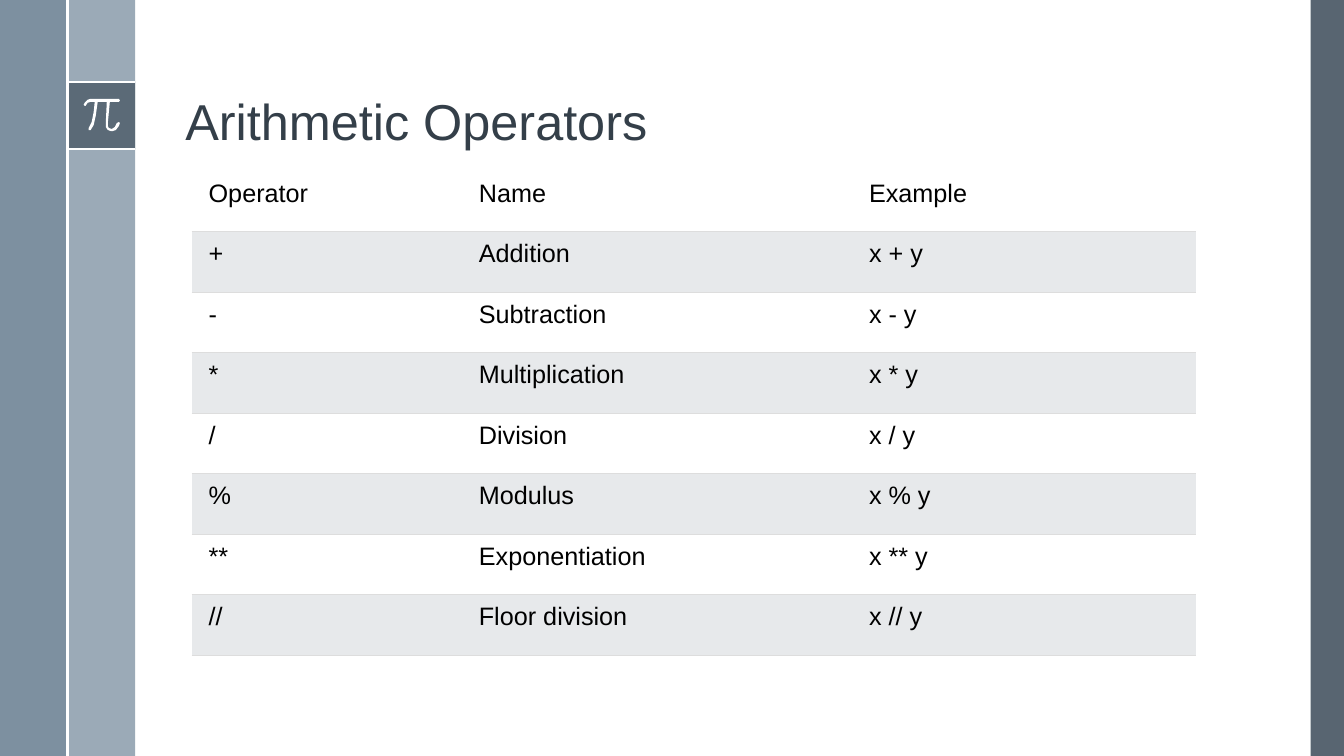
from lxml.etree import SubElement
from pptx import Presentation
from pptx.dml.color import RGBColor
from pptx.enum.shapes import MSO_CONNECTOR as Connector, MSO_SHAPE as Shape
from pptx.enum.text import MSO_ANCHOR as Anchor
from pptx.oxml.ns import qn
from pptx.util import Inches, Pt

WHITE = RGBColor(0xFF, 0xFF, 0xFF)
BLACK = RGBColor(0, 0, 0)
SLATE = RGBColor(0x46, 0x55, 0x62)
STEEL = RGBColor(0x6A, 0x80, 0x93)
MIST = RGBColor(0x9B, 0xAA, 0xB7)
TITLE_INK = RGBColor(0x34, 0x3F, 0x49)
BAND = RGBColor(0xE7, 0xE9, 0xEB)
RULE = RGBColor(0xDD, 0xDD, 0xDD)

WIDTH, HEIGHT = 13.33, 7.5
STRIPE = 0.67
BADGE_TOP = 0.81
PI_POINTS = [
    (35, 0), (7, 0), (4, 1), (1, 4), (0, 6), (1, 7), (2, 7), (4, 4), (7, 3),
    (11, 3), (10, 13), (8, 23), (5, 29), (5, 31), (7, 31), (10, 26), (12, 17),
    (14, 3), (23, 3), (22, 24), (22, 28), (24, 31), (27, 32), (29, 32),
    (32, 31), (35, 27), (36, 24), (35, 23), (33, 24), (31, 28), (28, 30),
    (25, 29), (24, 27), (24, 24), (26, 3), (35, 3), (36, 2),
]

COLUMN_WIDTHS = [2.77, 3.87, 3.32]
ROW_HEIGHT = 0.6
OPERATORS = [
    ("Operator", "Name", "Example"),
    ("+", "Addition", "x + y"),
    ("-", "Subtraction", "x - y"),
    ("*", "Multiplication", "x * y"),
    ("/", "Division", "x / y"),
    ("%", "Modulus", "x % y"),
    ("**", "Exponentiation", "x ** y"),
    ("//", "Floor division", "x // y"),
]


def apply(target, values):
    for name, value in values.items():
        setattr(target, name, value)


def write(frame, text, size, color, frame_format, line_spacing=1.0):
    apply(frame, frame_format)
    para = frame.paragraphs[0]
    para.line_spacing = line_spacing
    span = para.add_run()
    span.text = text
    apply(span.font, {"name": "Arial", "size": Pt(size)})
    span.font.color.rgb = color


def paint(shape, color, opacity=100):
    shape.shadow.inherit = False
    shape.fill.solid()
    shape.fill.fore_color.rgb = color
    shape.line.fill.background()
    if opacity < 100:
        tint = shape.fill._xPr.find(qn("a:solidFill"))[0]
        SubElement(tint, qn("a:alpha"), val=str(opacity * 1000))


def add_block(page, left, top, width, height, color, opacity=100):
    block = page.shapes.add_shape(
        Shape.RECTANGLE, *map(Inches, (left, top, width, height)))
    paint(block, color, opacity)


def add_rule(page, *ends):
    rule = page.shapes.add_connector(Connector.STRAIGHT, *map(Inches, ends))
    rule.line.color.rgb = WHITE
    rule.line.width = Pt(1.5)
    SubElement(rule._element.spPr, qn("a:effectLst"))


def add_pi(page, left, top):
    builder = page.shapes.build_freeform(*PI_POINTS[0], scale=Inches(0.01))
    builder.add_line_segments(PI_POINTS[1:], close=True)
    paint(builder.convert_to_shape(Inches(left), Inches(top)), WHITE)


def add_sidebar(page, left, top, height):
    middle, right = left + STRIPE, left + 2 * STRIPE
    badge_top = top + BADGE_TOP
    add_block(page, middle, top, STRIPE, height, MIST)
    add_block(page, left, top, STRIPE, height, STEEL, 87)
    add_block(page, middle, badge_top, STRIPE, STRIPE, SLATE, 75)
    for y in (badge_top, badge_top + STRIPE):
        add_rule(page, middle, y, right, y)
    add_pi(page, middle + 0.16, badge_top + 0.17)
    add_rule(page, middle, top, middle, top + height)


def add_title(page, left, top, width, height):
    box = page.shapes.add_textbox(*map(Inches, (left, top, width, height)))
    write(box.text_frame, "Arithmetic Operators", 36, TITLE_INK,
          {"word_wrap": True, "vertical_anchor": Anchor.BOTTOM}, 0.9)


def add_borders(cell, ruled_sides):
    properties = cell._tc.get_or_add_tcPr()
    for side in "LRTB":
        if side in ruled_sides:
            line = SubElement(properties, qn(f"a:ln{side}"), w=str(Pt(0.75)))
            fill = SubElement(line, qn("a:solidFill"))
            SubElement(fill, qn("a:srgbClr"), val=str(RULE))
        else:
            line = SubElement(properties, qn(f"a:ln{side}"), w="0")
            SubElement(line, qn("a:noFill"))


def add_operator_table(page, left, top):
    size = (sum(COLUMN_WIDTHS), ROW_HEIGHT * len(OPERATORS))
    table = page.shapes.add_table(
        len(OPERATORS), len(COLUMN_WIDTHS),
        *map(Inches, (left, top, *size))).table
    apply(table, {"first_row": False, "horz_banding": False})
    for column, width in zip(table.columns, COLUMN_WIDTHS):
        column.width = Inches(width)
    for row_index, values in enumerate(OPERATORS):
        table.rows[row_index].height = Inches(ROW_HEIGHT)
        for column_index, text in enumerate(values):
            cell = table.cell(row_index, column_index)
            apply(cell, {
                "margin_left": Inches(0.08 if column_index else 0.17),
                "margin_right": Inches(0.08),
                "margin_top": Inches(0.08),
                "margin_bottom": Inches(0.08),
                "vertical_anchor": Anchor.TOP,
            })
            add_borders(cell, "TB" if row_index else "B")
            cell.fill.solid()
            cell.fill.fore_color.rgb = BAND if row_index % 2 else WHITE
            write(cell.text_frame, text, 18, BLACK, {})


def main():
    deck = Presentation()
    apply(deck, {"slide_width": Inches(WIDTH), "slide_height": Inches(HEIGHT)})
    page = deck.slides.add_slide(deck.slide_layouts[6])
    add_block(page, 13, 0, WIDTH - 13, HEIGHT, SLATE, 90)
    add_sidebar(page, 0, 0, HEIGHT)
    add_title(page, 1.74, 0.19, 10.7, 1.36)
    add_operator_table(page, 1.9, 1.7)
    deck.save("out.pptx")


if __name__ == "__main__":
    main()
